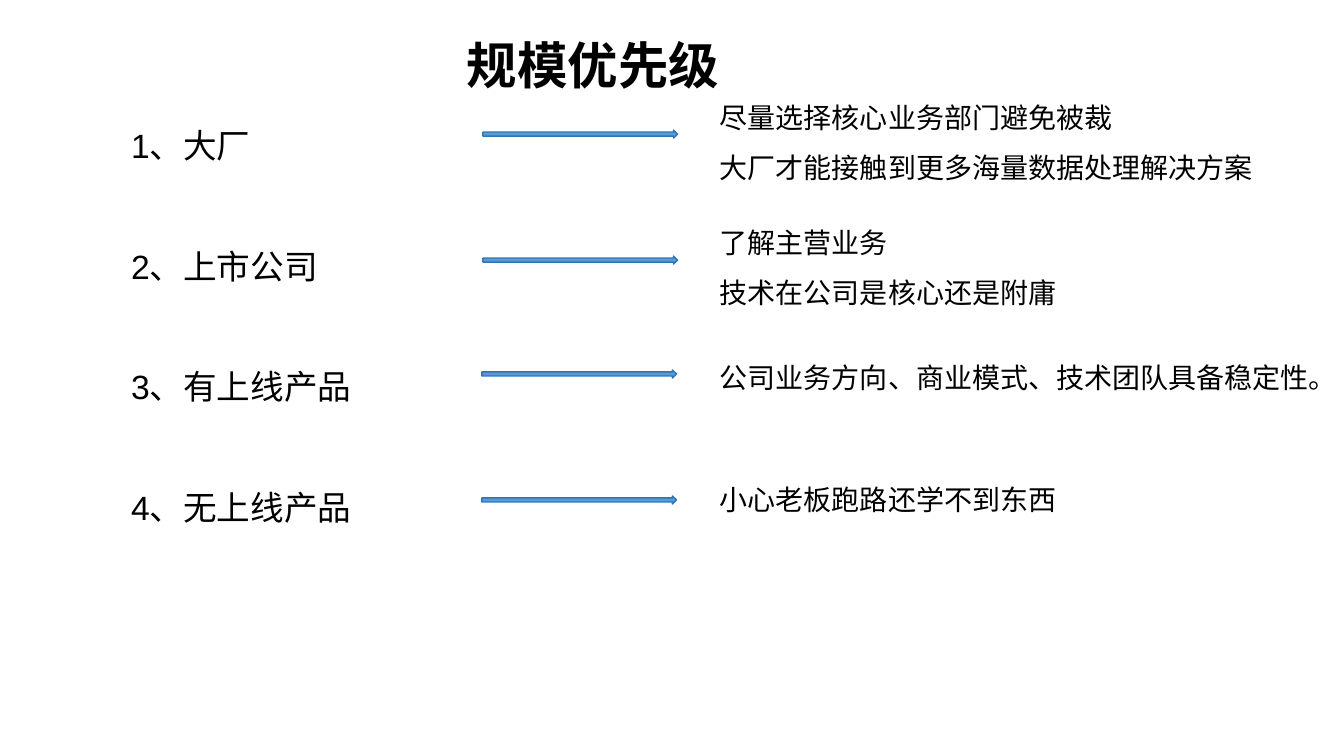
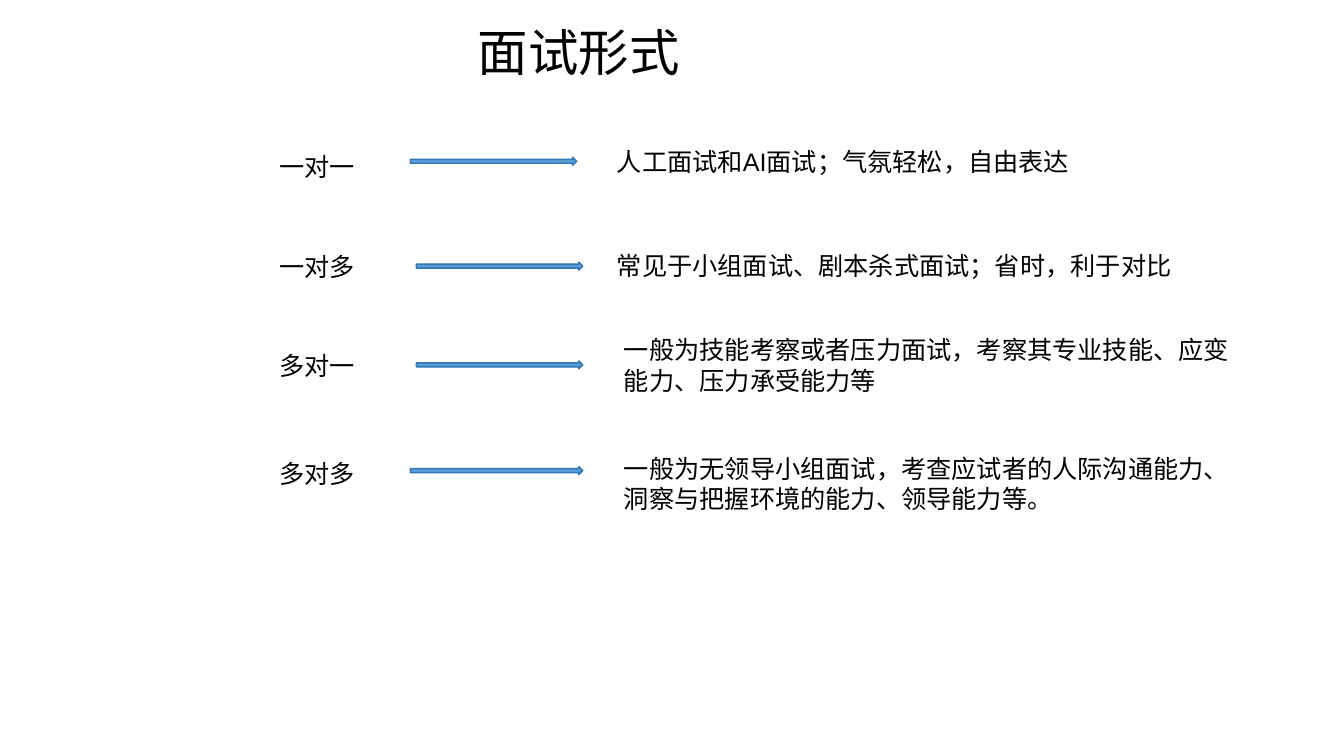
from dataclasses import dataclass

from pptx import Presentation
from pptx.dml.color import RGBColor
from pptx.enum.shapes import MSO_SHAPE
from pptx.enum.text import MSO_ANCHOR, MSO_AUTO_SIZE, PP_ALIGN
from pptx.util import Emu, Pt

ARROW = MSO_SHAPE.RIGHT_ARROW
TOP, LEFT, FIXED = MSO_ANCHOR.TOP, PP_ALIGN.LEFT, MSO_AUTO_SIZE.NONE
PX = 9144  # 100 px to the inch
LISTED, PLAIN = 1, 5  # layouts: title with list, title only


@dataclass(frozen=True)
class Theme:
    ink: RGBColor = RGBColor(0x00, 0x00, 0x00)
    fill: RGBColor = RGBColor(0x5B, 0x9B, 0xD5)
    edge: RGBColor = RGBColor(0x2E, 0x75, 0xB6)
    font: str = "Arial"
    bold_font: str = "Noto Sans CJK SC"
    title: int = 36
    list: int = 24
    note: int = 20
    small: int = 18
    thin: int = 1


THEME = Theme()


@dataclass(frozen=True)
class Box:
    x: int
    y: int
    w: int
    h: int

    def place(self) -> dict:
        names = ("left", "top", "width", "height")
        sides = (self.x, self.y, self.w, self.h)
        return {name: Emu(side * PX) for name, side in zip(names, sides)}


@dataclass(frozen=True)
class Note:
    box: Box
    lines: tuple[str, ...]
    space: float = 1.0


# Shared drawing
def apply(item, values: dict) -> None:
    for name, value in values.items():
        setattr(item, name, value)


def write(shape, box: Box, lines: tuple[str, ...], size: int,
          space: float = 1.0, gap: int = 0, bold: bool = False) -> None:
    apply(shape, box.place())
    frame = shape.text_frame
    apply(frame, {"word_wrap": True, "auto_size": FIXED,
                  "vertical_anchor": TOP})
    for i, line in enumerate(lines):
        para = frame.paragraphs[0] if i == 0 else frame.add_paragraph()
        apply(para, {"alignment": LEFT, "line_spacing": space,
                     "space_before": Pt(0), "space_after": Pt(gap)})
        run = para.add_run()
        run.text = line
        apply(run.font, {"size": Pt(size), "bold": bold,
                         "name": THEME.bold_font if bold else THEME.font})
        run.font.color.rgb = THEME.ink


def add_note(slide, note: Note, size: int) -> None:
    shape = slide.shapes.add_textbox(0, 0, 0, 0)
    write(shape, note.box, note.lines, size, note.space)


def add_arrow(slide, x: int, y: int, w: int) -> None:
    shape = slide.shapes.add_shape(ARROW, **Box(x, y, w, 8).place())
    shape.shadow.inherit = False
    shape.fill.solid()
    shape.fill.fore_color.rgb = THEME.fill
    shape.line.color.rgb = THEME.edge
    shape.line.width = Pt(THEME.thin)


def add_slide(deck, layout: int, box: Box, title: str, bold: bool = False):
    slide = deck.slides.add_slide(deck.slide_layouts[layout])
    write(slide.shapes.title, box, (title,), THEME.title, bold=bold)
    return slide


def add_list(slide, box: Box, lines: tuple[str, ...], gap: int) -> None:
    body = slide.placeholders[1]
    write(body, box, lines, THEME.list, 1.5, gap)
    for para in body.text_frame.paragraphs:
        props = para._p.get_or_add_pPr()
        props.set("marL", "0")
        props.set("indent", "0")
        props.append(props.makeelement(
            "{http://schemas.openxmlformats.org/drawingml/2006/main}buNone"))


# Slide 1: company size
SIZES = ("1、大厂", "2、上市公司", "3、有上线产品", "4、无上线产品")
SIZE_NOTES = (
    Note(Box(704, 78, 566, 124),
         ("尽量选择核心业务部门避免被裁", "大厂才能接触到更多海量数据处理解决方案"), 1.5),
    Note(Box(704, 202, 448, 111),
         ("了解主营业务", "技术在公司是核心还是附庸"), 1.5),
    Note(Box(704, 353, 605, 44),
         ("公司业务方向、商业模式、技术团队具备稳定性。",)),
    Note(Box(704, 474, 667, 44), ("小心老板跑路还学不到东西",)),
)
SIZE_ARROWS = ((479, 129), (479, 254), (478, 367), (478, 492))

# Slide 2: interview forms
FORMS = (("一对一", 145), ("一对多", 244), ("多对一", 343), ("多对多", 450))
FORM_NOTES = (
    Note(Box(602, 140, 497, 40), ("人工面试和AI面试；气氛轻松，自由表达",)),
    Note(Box(602, 243, 588, 40),
         ("常见于小组面试、剧本杀式面试；省时，利于对比",)),
    Note(Box(609, 327, 638, 71),
         ("一般为技能考察或者压力面试，考察其专业技能、应变能力、压力承受能力等",)),
    Note(Box(609, 445, 638, 71),
         ("一般为无领导小组面试，考查应试者的人际沟通能力、"
          "洞察与把握环境的能力、领导能力等。",)),
)
FORM_ARROWS = ((407, 156, 165), (413, 260, 165),
               (413, 358, 165), (407, 463, 171))


def draw_sizes(deck) -> None:
    slide = add_slide(deck, LISTED, Box(453, 29, 425, 71), "规模优先级", True)
    add_list(slide, Box(120, 99, 359, 434), SIZES, 43)
    for note in SIZE_NOTES:
        add_note(slide, note, THEME.note)
    for x, y in SIZE_ARROWS:
        add_arrow(slide, x, y, 193)


def draw_forms(deck) -> None:
    slide = add_slide(deck, PLAIN, Box(464, 16, 336, 71), "面试形式")
    labels = tuple(Note(Box(267, y, 247, 40), (text,)) for text, y in FORMS)
    for note in labels + FORM_NOTES:
        add_note(slide, note, THEME.small)
    for x, y, w in FORM_ARROWS:
        add_arrow(slide, x, y, w)


def main() -> None:
    deck = Presentation()
    apply(deck, {"slide_width": Emu(1333 * PX), "slide_height": Emu(750 * PX)})
    draw_sizes(deck)
    draw_forms(deck)
    deck.save("out.pptx")


if __name__ == "__main__":
    main()
